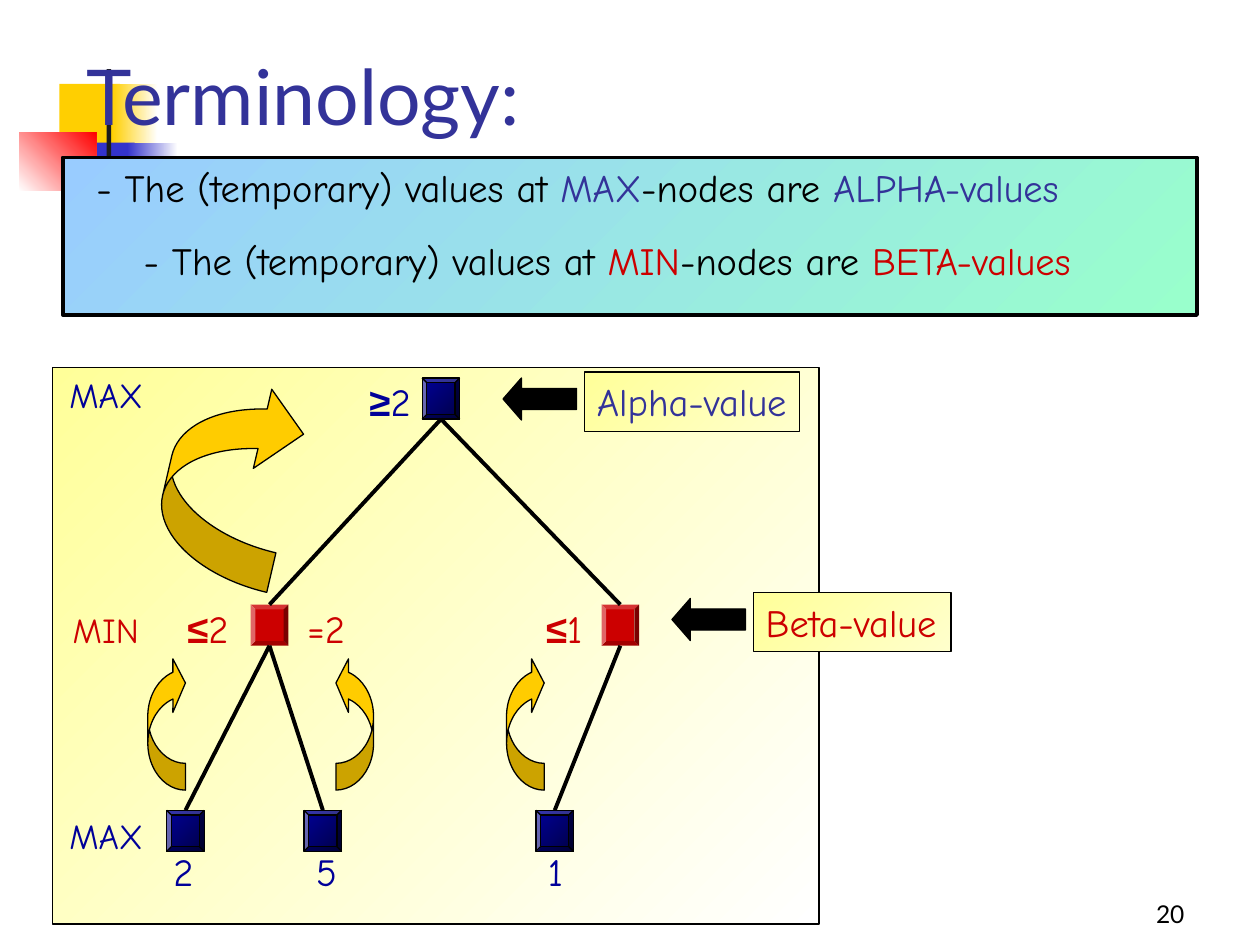
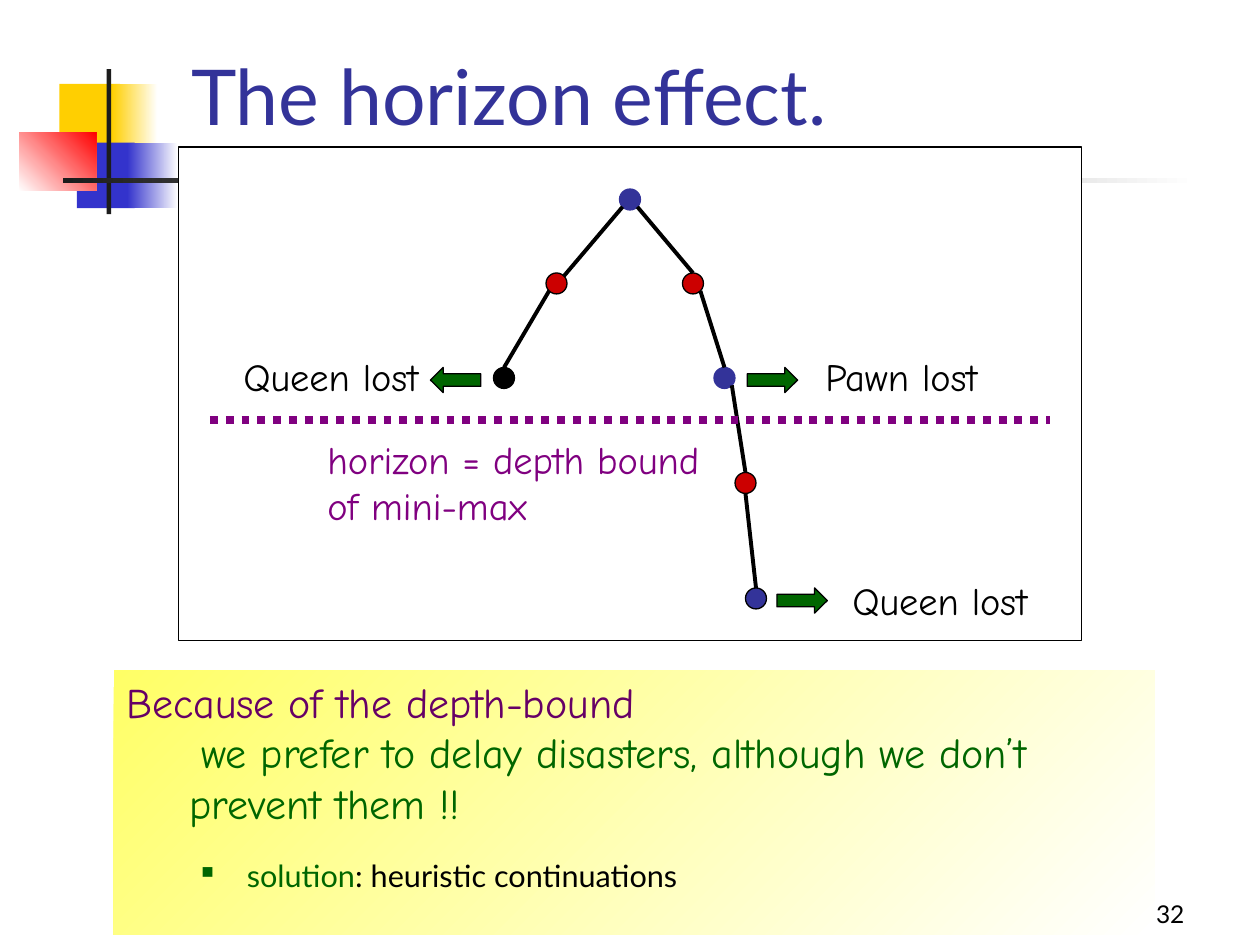
"""Build two slides on alpha-beta terminology and the horizon effect."""
from dataclasses import dataclass
from typing import NamedTuple

from lxml.etree import SubElement
from pptx import Presentation
from pptx.dml.color import RGBColor
from pptx.enum.dml import MSO_LINE
from pptx.enum.shapes import MSO_CONNECTOR, MSO_SHAPE
from pptx.enum.text import MSO_ANCHOR, MSO_AUTO_SIZE, PP_ALIGN
from pptx.oxml.ns import qn
from pptx.util import Pt


class Gradient(NamedTuple):
    """Two-colour gradient with a clockwise angle."""
    start: str
    end: str
    angle: int = 45


@dataclass(frozen=True)
class Theme:
    """Colours, fonts and type sizes of the deck."""
    title: str = "333399"
    black: str = "000000"
    white: str = "FFFFFF"
    ink: str = "1C1C1C"
    gold: str = "FFCF01"
    blue: str = "3333CC"
    navy: str = "000099"
    red: str = "CC0000"
    curl: str = "FFCC00"
    green: str = "006600"
    purple: str = "800080"
    plum: str = "660066"
    banner: Gradient = Gradient("99CCFF", "99FFCC")
    panel: Gradient = Gradient("FFFF99", "FFFFFF")
    callout: Gradient = Gradient("FFFF99", "FFFFCC")
    summary: Gradient = Gradient("FFFF66", "FFFFFF")
    max_node: Gradient = Gradient("000099", "000047")
    hand: str = "Comic Neue"
    plain: str = "Lato"
    symbol: str = "Arial"
    title_size: float = 44
    summary_size: float = 24
    body_size: float = 22
    level_size: float = 20
    solution_size: float = 17.5
    page_size: float = 14


THEME = Theme()


class Box(NamedTuple):
    """Left, top, width and height in points."""
    left: float
    top: float
    width: float
    height: float


class Point(NamedTuple):
    """Position or offset in points."""
    x: float
    y: float

    def shifted(self, offset: "Point") -> "Point":
        """Return this point moved by an offset."""
        return Point(self.x + offset.x, self.y + offset.y)


class Run(NamedTuple):
    """Stretch of text in one format."""
    text: str
    color: str = THEME.black
    font: str = THEME.hand
    bold: bool = False


@dataclass(frozen=True)
class Para:
    """Paragraph with its runs, indents and bullet colour."""
    runs: list[Run]
    margin: float = 0
    indent: float = 0
    bullet: str | None = None


@dataclass(frozen=True)
class Node:
    """Game-tree node placed by its centre and top."""
    center: float
    top: float
    fill: str | Gradient
    line: str | None = THEME.black
    width: float = 21.5
    height: float = 23.5


@dataclass(frozen=True)
class Position:
    """Round node placed by its centre."""
    at: Point
    fill: str
    line: str = THEME.black


def emu(values) -> list:
    """Turn point values into lengths."""
    return [Pt(value) for value in values]


def add_text(shape, *paras: Para, size=THEME.body_size, align=PP_ALIGN.LEFT,
             anchor=MSO_ANCHOR.TOP, wrap=False):
    """Write formatted paragraphs into a shape."""
    frame = shape.text_frame
    frame.word_wrap, frame.auto_size, frame.vertical_anchor = wrap, MSO_AUTO_SIZE.NONE, anchor
    for index, para in enumerate(paras):
        line = frame.add_paragraph() if index else frame.paragraphs[0]
        line.alignment = align
        properties = line._p.get_or_add_pPr()
        properties.set("marL", str(Pt(para.margin)))
        properties.set("indent", str(Pt(para.indent)))
        if para.bullet:
            SubElement(SubElement(properties, qn("a:buClr")), qn("a:srgbClr")).set("val", para.bullet)
            SubElement(properties, qn("a:buSzPct")).set("val", "55000")
            SubElement(properties, qn("a:buChar")).set("char", "■")
        for part in para.runs:
            run = line.add_run()
            run.text = part.text
            run.font.size, run.font.name, run.font.bold = Pt(size), part.font, part.bold
            run.font.color.rgb = RGBColor.from_string(part.color)
    return shape


def add_label(slide, box: Box, *runs: Run, **style):
    """Add a text box with one paragraph."""
    return add_text(slide.shapes.add_textbox(*emu(box)), Para(list(runs)), **style)


def add_form(slide, kind: MSO_SHAPE, box: Box, fill: str | Gradient,
             line: str | None = None, weight=0.75, adjust=()):
    """Add a filled preset shape."""
    form = slide.shapes.add_shape(kind, *emu(box))
    form.shadow.inherit = False
    if isinstance(fill, Gradient):
        form.fill.gradient()
        form.fill.gradient_angle = -fill.angle % 360
        for stop, color in zip(form.fill.gradient_stops, fill[:2]):
            stop.color.rgb = RGBColor.from_string(color)
    else:
        form.fill.solid()
        form.fill.fore_color.rgb = RGBColor.from_string(fill)
    if line:
        form.line.color.rgb = RGBColor.from_string(line)
        form.line.width = Pt(weight)
    else:
        form.line.fill.background()
    for index, value in enumerate(adjust):
        form.adjustments[index] = value
    return form


def add_edge(slide, start: Point, end: Point, color=THEME.black, weight=2.25, dash=None):
    """Add a straight line."""
    edge = slide.shapes.add_connector(MSO_CONNECTOR.STRAIGHT, *emu(start + end))
    edge.line.color.rgb = RGBColor.from_string(color)
    edge.line.width = Pt(weight)
    if dash:
        edge.line.dash_style = dash
    SubElement(edge._element.spPr, qn("a:effectLst"))


def add_curl(slide, kind: MSO_SHAPE, box: Box, rotation=0.0):
    """Add a curved arrow whose head is at its top."""
    ratio = box.height / min(box.width, box.height)
    curl = add_form(slide, kind, box, THEME.curl, THEME.black, adjust=(0.2 * ratio, 0.4 * ratio, 0.333))
    curl._element.spPr.xfrm.set("flipV", "1")
    curl.rotation = rotation


def add_callout(slide, box: Box, run: Run):
    """Add a boxed name with a block arrow to its left."""
    add_text(add_form(slide, MSO_SHAPE.RECTANGLE, box, THEME.callout, THEME.black), Para([run]))
    add_form(slide, MSO_SHAPE.LEFT_ARROW, Box(box.left - 46.5, box.top + 3.5, 42, 24),
             THEME.black, THEME.black, adjust=(0.5, 0.437))


def decorate_master(deck, slide):
    """Draw the corner ornament and move it to the master."""
    ornament = [
        (Box(34, 48, 34.5, 37.5), THEME.gold),
        (Box(64, 48, 26, 37.5), Gradient(THEME.gold, THEME.white, 0)),
        (Box(44, 81.5, 33, 37.5), THEME.blue),
        (Box(72.7, 81.5, 29, 37.5), Gradient(THEME.blue, THEME.white, 0)),
        (Box(11, 75.5, 44, 33.5), Gradient(THEME.white, "FF0000", 315)),
        (Box(61, 39.5, 2.5, 83), THEME.ink),
        (Box(36, 102, 648, 2.5), Gradient(THEME.ink, THEME.white, 0)),
    ]
    tree = deck.slide_master.shapes._spTree
    for box, fill in ornament:
        tree.append(add_form(slide, MSO_SHAPE.RECTANGLE, box, fill)._element)


def start_slide(deck, heading: str, left: float, page: str):
    """Add a slide with its title and page number."""
    slide = deck.slides.add_slide(deck.slide_layouts[5])
    title = slide.shapes.title
    title.left, title.top, title.width, title.height = emu((left, 12, 654 - left, 72))
    add_text(title, Para([Run(heading, THEME.title, THEME.plain)]), size=THEME.title_size,
             anchor=MSO_ANCHOR.BOTTOM, wrap=True)
    add_label(slide, Box(534, 498, 150, 36), Run(page, font=THEME.plain), size=THEME.page_size,
              align=PP_ALIGN.RIGHT, anchor=MSO_ANCHOR.BOTTOM, wrap=True)
    return slide


def build_terminology(slide):
    """Draw the alpha and beta definitions with their tree."""
    add_form(slide, MSO_SHAPE.RECTANGLE, Box(36, 90, 648, 90), THEME.banner, THEME.black, 2.25)
    for left, top, level, value, color in ((48, 90, "MAX", "ALPHA-values", THEME.title),
                                           (75, 131.8, "MIN", "BETA-values", THEME.red)):
        add_label(slide, Box(left, top, 548.6, 34), Run("- The (temporary) values at "),
                  Run(level, color), Run("-nodes are "), Run(value, color))
    add_form(slide, MSO_SHAPE.RECTANGLE, Box(30, 210, 438, 318), THEME.panel, THEME.black)

    root = Node(252, 216, THEME.max_node)
    minima = [Node(center, 345.5, THEME.red, None) for center in (154, 354.5)]
    leaves = [Node(center, 463, THEME.max_node) for center in (106, 184.5, 317)]
    for node in (root, *minima, *leaves):
        add_form(slide, MSO_SHAPE.BEVEL,
                 Box(node.center - node.width / 2, node.top, node.width, node.height),
                 node.fill, node.line, adjust=(0.125,))
    for parent, child in ((root, minima[0]), (root, minima[1]), (minima[0], leaves[0]),
                          (minima[0], leaves[1]), (minima[1], leaves[2])):
        add_edge(slide, Point(parent.center, parent.top + parent.height), Point(child.center, child.top))

    for left, top, width, level, color in ((32.5, 210, 56, "MAX", THEME.navy),
                                           (34.5, 344, 52, "MIN", THEME.red),
                                           (32.5, 462, 56, "MAX", THEME.navy)):
        add_label(slide, Box(left, top, width, 32), Run(level, color), size=THEME.level_size)
    for left, width, value in ((92, 26, "2"), (173.5, 26, "5"), (306, 23, "1")):
        add_label(slide, Box(left, 481, width, 34), Run(value, THEME.navy))
    for left, top, width, sign, value, color in ((204, 212.5, 43, "≥", "2", THEME.navy),
                                                 (100, 342, 43, "≤", "2", THEME.red),
                                                 (305, 342, 40, "≤", "1", THEME.red)):
        add_label(slide, Box(left, top, width, 34), Run(sign, color, THEME.symbol, True), Run(value, color))
    add_label(slide, Box(168.5, 342, 36, 34), Run("=2", THEME.red))

    for left, kind in ((84.5, MSO_SHAPE.CURVED_RIGHT_ARROW), (192, MSO_SHAPE.CURVED_LEFT_ARROW),
                       (289.5, MSO_SHAPE.CURVED_RIGHT_ARROW)):
        add_curl(slide, kind, Box(left, 375, 21.5, 76.5))
    add_curl(slide, MSO_SHAPE.CURVED_RIGHT_ARROW, Box(96, 216, 70.5, 116), 13.1)
    add_callout(slide, Box(334, 212.5, 123, 34), Run("Alpha-value", THEME.title))
    add_callout(slide, Box(430.5, 338.5, 113, 34), Run("Beta-value", THEME.red))


def build_horizon(slide):
    """Draw the tree cut by the horizon and the conclusion."""
    add_form(slide, MSO_SHAPE.RECTANGLE, Box(102, 84, 516, 282), THEME.white, THEME.black)
    root = Position(Point(360, 114), THEME.title, THEME.title)
    left_reply = Position(Point(318, 162), THEME.red)
    early_loss = Position(Point(288, 216), THEME.black)
    right_reply = Position(Point(396, 162), THEME.red)
    pawn_loss = Position(Point(414, 216), THEME.title, THEME.title)
    late_reply = Position(Point(426, 276), THEME.red)
    late_loss = Position(Point(432, 342), THEME.title)
    for spot in (root, left_reply, early_loss, right_reply, pawn_loss, late_reply, late_loss):
        add_form(slide, MSO_SHAPE.OVAL, Box(spot.at.x - 6, spot.at.y - 6, 12, 12), spot.fill, spot.line)

    top, bottom = Point(0, -6), Point(0, 6)
    lower_left, lower_right, upper_right = Point(-4.2, 4.2), Point(4.2, 4.2), Point(4.2, -4.2)
    for parent, leave, child, arrive in ((root, lower_left, left_reply, upper_right),
                                         (left_reply, lower_left, early_loss, top),
                                         (root, lower_right, right_reply, top),
                                         (right_reply, lower_right, pawn_loss, top),
                                         (pawn_loss, lower_right, late_reply, top),
                                         (late_reply, bottom, late_loss, top)):
        add_edge(slide, parent.at.shifted(leave), child.at.shifted(arrive))

    for kind, arrow, label, outcome in (
            (MSO_SHAPE.LEFT_ARROW, Point(246, 210), Box(132, 198, 114.5, 34), "Queen lost"),
            (MSO_SHAPE.RIGHT_ARROW, Point(427, 210), Box(464.5, 198, 102, 34), "Pawn lost"),
            (MSO_SHAPE.RIGHT_ARROW, Point(444, 336), Box(480, 326, 114.5, 34), "Queen lost")):
        add_form(slide, kind, Box(*arrow, 28.8, 14.4), THEME.green, THEME.black, adjust=(0.5, 0.506))
        add_label(slide, label, Run(outcome))

    add_edge(slide, Point(120, 240), Point(600, 240), THEME.purple, 4.5, MSO_LINE.ROUND_DOT)
    add_text(slide.shapes.add_textbox(*emu((180, 245.5, 227.5, 60.5))),
             Para([Run("horizon = depth bound", THEME.purple)]), Para([Run("of mini-max", THEME.purple)]))
    add_text(add_form(slide, MSO_SHAPE.RECTANGLE, Box(65, 383, 595, 151), THEME.summary),
             Para([Run("Because of the depth-bound", THEME.plum)]),
             Para([Run("we prefer to delay disasters, although we don’t prevent them !!", THEME.green)],
                  margin=36, indent=7),
             size=THEME.summary_size, wrap=True)
    add_text(slide.shapes.add_textbox(*emu((72, 486, 498, 30))),
             Para([Run("solution", THEME.green, THEME.plain),
                   Run(": heuristic continuations", font=THEME.plain)],
                  margin=62, indent=-26, bullet=THEME.green),
             size=THEME.solution_size, wrap=True)


def main():
    """Build and save the deck."""
    deck = Presentation()
    deck.slide_width, deck.slide_height = Pt(720), Pt(540)
    terminology = start_slide(deck, "Terminology:", 42, "20")
    decorate_master(deck, terminology)
    build_terminology(terminology)
    build_horizon(start_slide(deck, "The horizon effect.", 102, "32"))
    deck.save("out.pptx")


if __name__ == "__main__":
    main()
